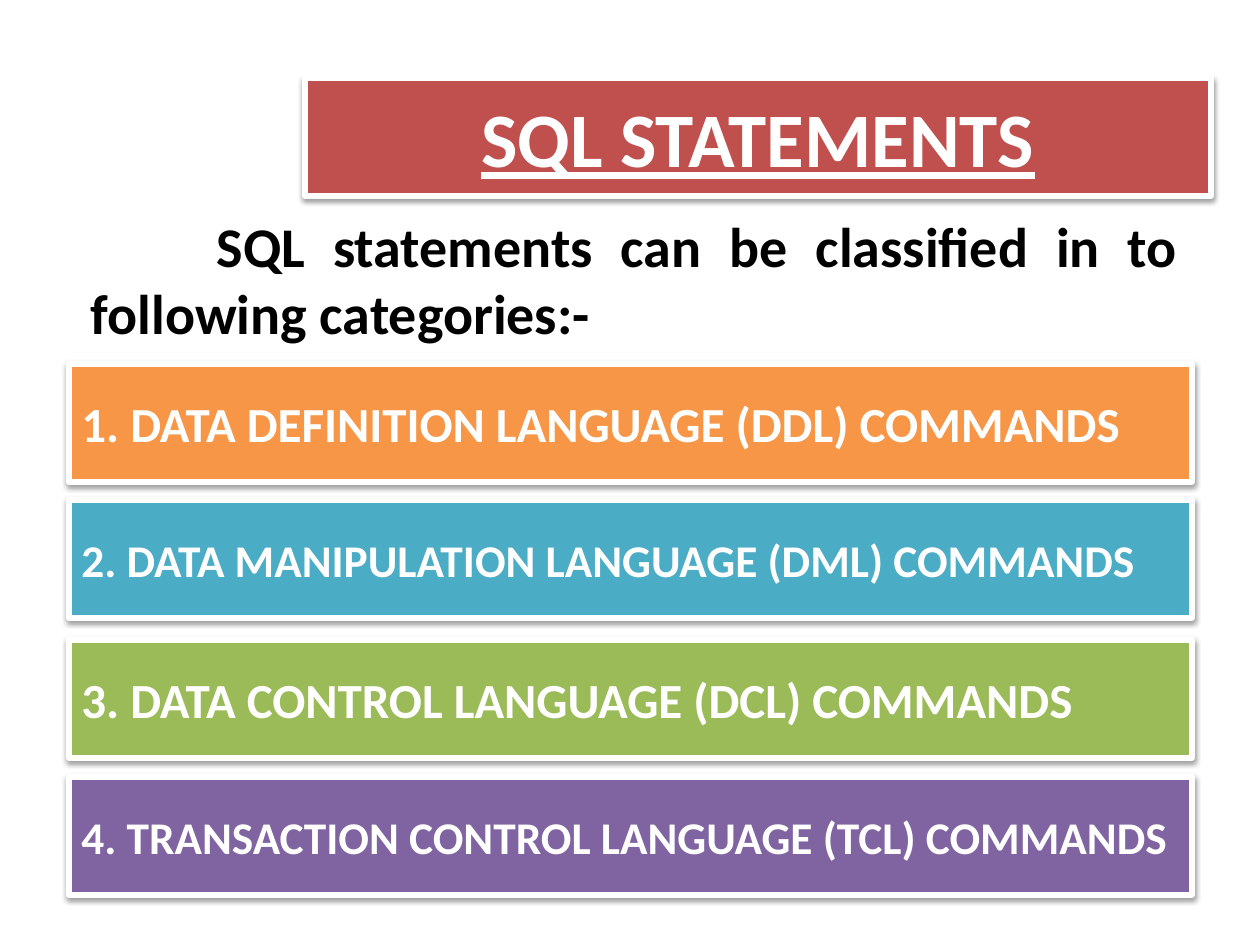
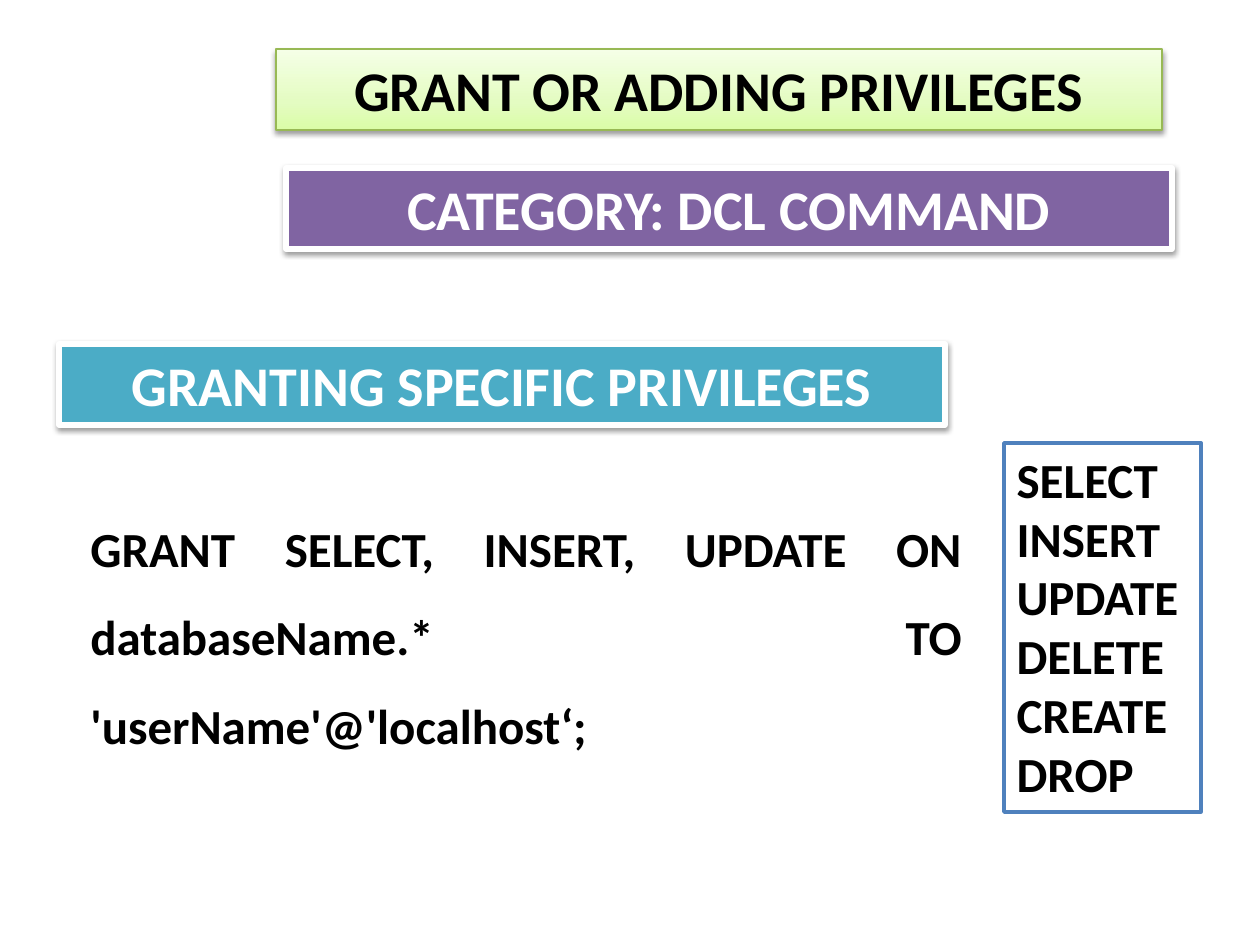
from copy import deepcopy

from lxml import etree
from pptx import Presentation
from pptx import util as u
from pptx.dml.color import RGBColor
from pptx.enum import shapes, text
from pptx.oxml.ns import qn

PX = u.Inches(1) / 126
WHITE, BLACK = "FFFFFF", "000000"
RED, ORANGE, TEAL, GREEN, PURPLE = "C0504D", "F79646", "4BACC6", "9BBB59", "8064A2"
CENTER, LEFT, JUSTIFY = text.PP_ALIGN.CENTER, text.PP_ALIGN.LEFT, text.PP_ALIGN.JUSTIFY


def write(shape, box, words, size, color, align, indent=0):
    """Place a shape and write its lines in bold, without bullets."""
    shape.left, shape.top, shape.width, shape.height = (int(n * PX) for n in box)
    frame = shape.text_frame
    frame.text = words
    frame.word_wrap = True
    frame.auto_size = text.MSO_AUTO_SIZE.NONE
    for line in frame.paragraphs:
        props = line._p.get_or_add_pPr()
        props.set("marL", "0")
        props.set("indent", str(int(indent * PX)))
        etree.SubElement(props, qn("a:buNone"))
        line.alignment = align
        line.space_before = u.Pt(0)
        line.font.name = "Calibri"
        line.font.size = u.Pt(size)
        line.font.bold = True
        line.font.color.rgb = RGBColor.from_string(color)


def paint(shape, fill, outline=WHITE, width=3, shadow=True):
    shape.fill.solid()
    shape.fill.fore_color.rgb = RGBColor.from_string(fill)
    shape.line.color.rgb = RGBColor.from_string(outline)
    shape.line.width = u.Pt(width)
    shape.shadow.inherit = False
    if shadow:
        effects = shape._element.spPr.find(qn("a:effectLst"))
        outer = etree.SubElement(effects, qn("a:outerShdw"), blurRad="40000",
                                 dist="20000", dir="5400000", rotWithShape="0")
        shade = etree.SubElement(outer, qn("a:srgbClr"), val=BLACK)
        etree.SubElement(shade, qn("a:alpha"), val="38000")


deck = Presentation()
deck.slide_width, deck.slide_height = u.Inches(10), u.Inches(7.5)
title_and_content = deck.slide_layouts[1]

# Slide 1: the four categories of statements
statements = deck.slides.add_slide(title_and_content)
heading, intro = statements.placeholders
write(heading, (305, 78, 906, 118), "SQL STATEMENTS", 44, WHITE, CENTER)
heading.text_frame.paragraphs[0].font.underline = True
paint(heading, RED)
write(intro, (78, 205, 1113, 149),
      "SQL statements can be classified in to following categories:-",
      32, BLACK, JUSTIFY, indent=126)

categories = [
    (364, ORANGE, 28, "1. DATA DEFINITION LANGUAGE (DDL) COMMANDS"),
    (500, TEAL, 25.9, "2. DATA MANIPULATION LANGUAGE (DML) COMMANDS"),
    (640, GREEN, 28, "3. DATA CONTROL LANGUAGE (DCL) COMMANDS"),
    (777, PURPLE, 25.9, "4. TRANSACTION CONTROL LANGUAGE (TCL) COMMANDS"),
]
for top, fill, size, words in categories:
    category = statements.shapes.add_shape(shapes.MSO_SHAPE.RECTANGLE, 0, 0, 0, 0)
    write(category, (69, top, 1123, 118), words, size, WHITE, JUSTIFY)
    paint(category, fill)

# Slide 2: granting privileges
grant = deck.slides.add_slide(title_and_content)
heading, privileges = grant.placeholders
write(heading, (276, 49, 886, 81), "GRANT OR ADDING PRIVILEGES", 32, BLACK, CENTER)
paint(heading, WHITE, "98B955", 0.75)
heading.fill.gradient()
heading.fill.gradient_angle = 90
stop_list = heading._element.spPr.find(qn("a:gradFill")).find(qn("a:gsLst"))
stop_list.insert(1, deepcopy(stop_list[0]))
greens = [(0, "DAFDA7"), (0.35, "E4FCC2"), (1, "F5FFE7")]
for stop, (position, color) in zip(heading.fill.gradient_stops, greens):
    stop.position = position
    stop.color.rgb = RGBColor.from_string(color)

for left, top, fill, words in [
    (286, 168, PURPLE, "CATEGORY: DCL COMMAND"),
    (59, 344, TEAL, "GRANTING SPECIFIC PRIVILEGES"),
]:
    banner = grant.shapes.add_shape(shapes.MSO_SHAPE.RECTANGLE, 0, 0, 0, 0)
    write(banner, (left, top, 886, 81), words, 32, WHITE, CENTER)
    paint(banner, fill)

example = grant.shapes.add_textbox(0, 0, 0, 0)
write(example, (78, 483, 896, 190),
      "GRANT SELECT, INSERT, UPDATE ON databaseName.* TO 'userName'@'localhost‘;",
      28, BLACK, JUSTIFY)
example.text_frame.paragraphs[0].line_spacing = 1.5

write(privileges, (1004, 443, 197, 369),
      "SELECT\nINSERT\nUPDATE\nDELETE\nCREATE\nDROP", 28, BLACK, LEFT)
paint(privileges, WHITE, "4F81BD", 2, shadow=False)

deck.save("out.pptx")
